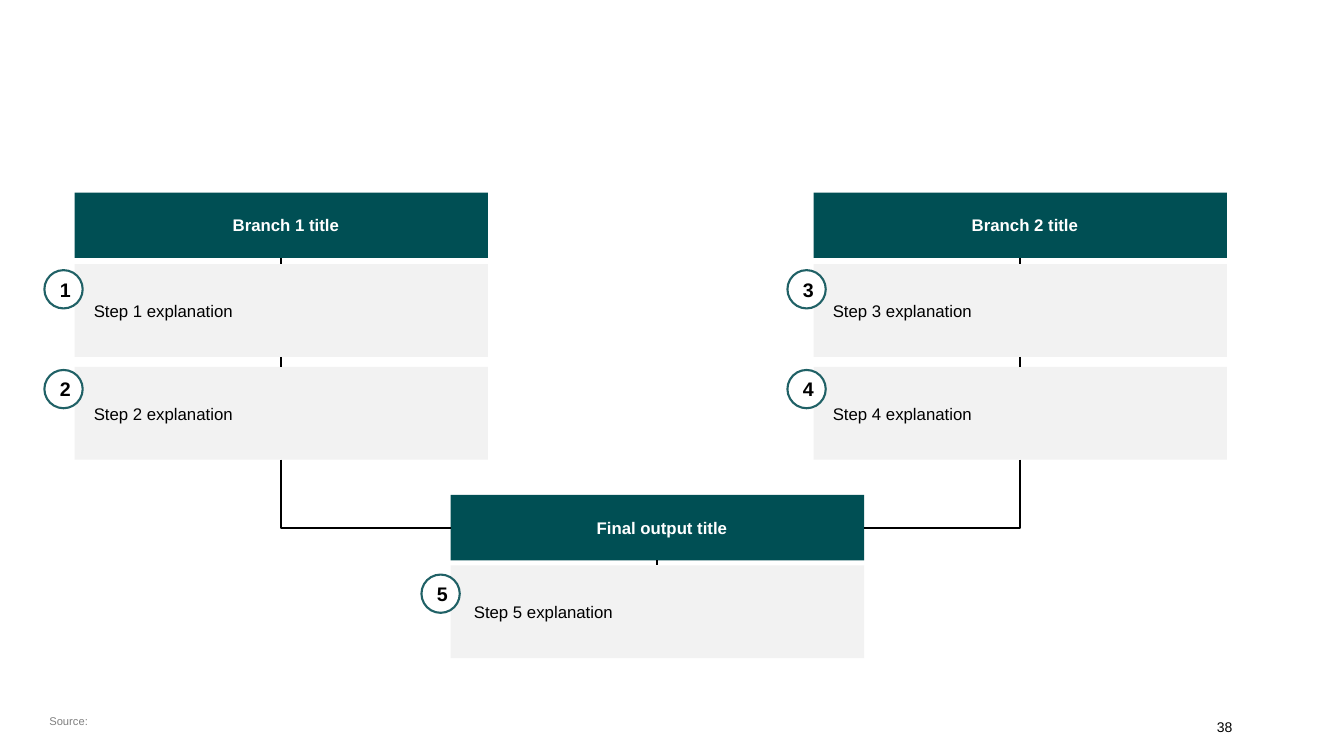
from lxml import etree
from pptx import Presentation
from pptx import util as u
from pptx.dml.color import RGBColor
from pptx.enum import shapes, text
from pptx.oxml import ns

TEAL = RGBColor(0x00, 0x4F, 0x54)
RING = RGBColor(0x20, 0x61, 0x66)
PALE = RGBColor(0xF2, 0xF2, 0xF2)
GREY = RGBColor(0x80, 0x80, 0x80)
BLACK = RGBColor(0, 0, 0)
WHITE = RGBColor(255, 255, 255)

BRANCHES = [
    {"title": "Branch 1 title", "left": 0.74, "top": 1.91, "badge_left": 0.44,
     "steps": [("1", "Step 1 explanation"), ("2", "Step 2 explanation")]},
    {"title": "Branch 2 title", "left": 8.07, "top": 1.91, "badge_left": 7.81,
     "steps": [("3", "Step 3 explanation"), ("4", "Step 4 explanation")]},
]
FINAL = {"title": "Final output title", "left": 4.47, "top": 4.91, "badge_left": 4.18,
         "step_gap": 0.05, "badge_drop": 0.09, "indent": 0.23,
         "steps": [("5", "Step 5 explanation")]}
FOOTER = [
    ("38", (11.97, 7, 0.61, 0.3), {"size": u.Pt(10)}, BLACK, text.MSO_ANCHOR.BOTTOM),
    ("Source:", (0.39, 7, 4.08, 0.3), {"size": u.Pt(8)}, GREY, text.MSO_ANCHOR.MIDDLE),
]

BOX_WIDTH, TITLE_HEIGHT, STEP_HEIGHT, STEP_PITCH = 4.1, 0.65, 0.92, 1.02
BADGE_SIZE, BADGE_PITCH = 0.38, 0.99
INDENT = 0.19
TITLE_FONT = {"size": u.Pt(12), "bold": True}
STEP_FONT = {"size": u.Pt(12), "bold": False}
BADGE_FONT = {"size": u.Pt(14), "bold": True}
CENTER, LEFT = text.PP_ALIGN.CENTER, text.PP_ALIGN.LEFT
MIDDLE = text.MSO_ANCHOR.MIDDLE


def write(box, words, font, color, align, frame_format):
    frame = box.text_frame
    for name, value in {"word_wrap": True, "vertical_anchor": MIDDLE, **frame_format}.items():
        setattr(frame, name, value)
    para = frame.paragraphs[0]
    para.alignment = align
    span = para.add_run()
    span.text = words
    for name, value in {"name": "Arial", **font}.items():
        setattr(span.font, name, value)
    span.font.color.rgb = color


def add_box(page, kind, place, fill, line=None):
    box = page.shapes.add_shape(kind, *map(u.Inches, place))
    box.shadow.inherit = False
    box.fill.solid()
    box.fill.fore_color.rgb = fill
    if line is None:
        box.line.fill.background()
    else:
        box.line.color.rgb = line
        box.line.width = u.Pt(1.5)
    return box


def add_line(page, kind, start, end):
    line = page.shapes.add_connector(kind, *start, *end)
    line.line.color.rgb = BLACK
    line.line.width = u.Pt(1.5)
    etree.SubElement(line._element.spPr, ns.qn("a:effectLst"))
    return line


def join_down(page, upper, lower):
    line = add_line(page, shapes.MSO_CONNECTOR.STRAIGHT, (0, 0), (0, 0))
    line.begin_connect(upper, 2)
    line.end_connect(lower, 0)


def join_corner(page, step, title, side_x):
    start = (step.left + step.width // 2, step.top + step.height)
    end = (side_x, title.top + title.height // 2)
    line = add_line(page, shapes.MSO_CONNECTOR.ELBOW, start, end)
    guides = line._element.spPr.find(ns.qn("a:prstGeom")).get_or_add_avLst()
    etree.SubElement(guides, ns.qn("a:gd"), name="adj1", fmla="val 0")


def add_stack(page, stack):
    rect, oval = shapes.MSO_SHAPE.RECTANGLE, shapes.MSO_SHAPE.OVAL
    left, top = stack["left"], stack["top"]
    title = add_box(page, rect, (left, top, BOX_WIDTH, TITLE_HEIGHT), TEAL)
    write(title, stack["title"], TITLE_FONT, WHITE, CENTER, {"margin_left": u.Inches(INDENT)})
    first_top = top + TITLE_HEIGHT + stack.get("step_gap", 0.06)
    badge_top = first_top + stack.get("badge_drop", 0.06)
    indent = u.Inches(stack.get("indent", INDENT))
    upper = title
    for row, (number, words) in enumerate(stack["steps"]):
        step = add_box(page, rect, (left, first_top + row * STEP_PITCH, BOX_WIDTH, STEP_HEIGHT), PALE)
        write(step, words, STEP_FONT, BLACK, LEFT, {"margin_left": indent})
        join_down(page, upper, step)
        place = (stack["badge_left"], badge_top + row * BADGE_PITCH, BADGE_SIZE, BADGE_SIZE)
        badge = add_box(page, oval, place, WHITE, RING)
        write(badge, number, BADGE_FONT, BLACK, CENTER, {})
        upper = step
    return title, upper


def main():
    deck = Presentation()
    deck.slide_width, deck.slide_height = u.Inches(13.33), u.Inches(7.5)
    page = deck.slides.add_slide(deck.slide_layouts[6])

    for words, place, font, color, anchor in FOOTER:
        box = page.shapes.add_textbox(*map(u.Inches, place))
        write(box, words, font, color, LEFT,
              {"vertical_anchor": anchor, "margin_top": 0, "margin_bottom": 0})

    last_steps = [add_stack(page, branch)[1] for branch in BRANCHES]
    final_title, _ = add_stack(page, FINAL)
    sides = (final_title.left, final_title.left + final_title.width)
    for step, side_x in zip(last_steps, sides):
        join_corner(page, step, final_title, side_x)

    deck.save("out.pptx")


if __name__ == "__main__":
    main()
